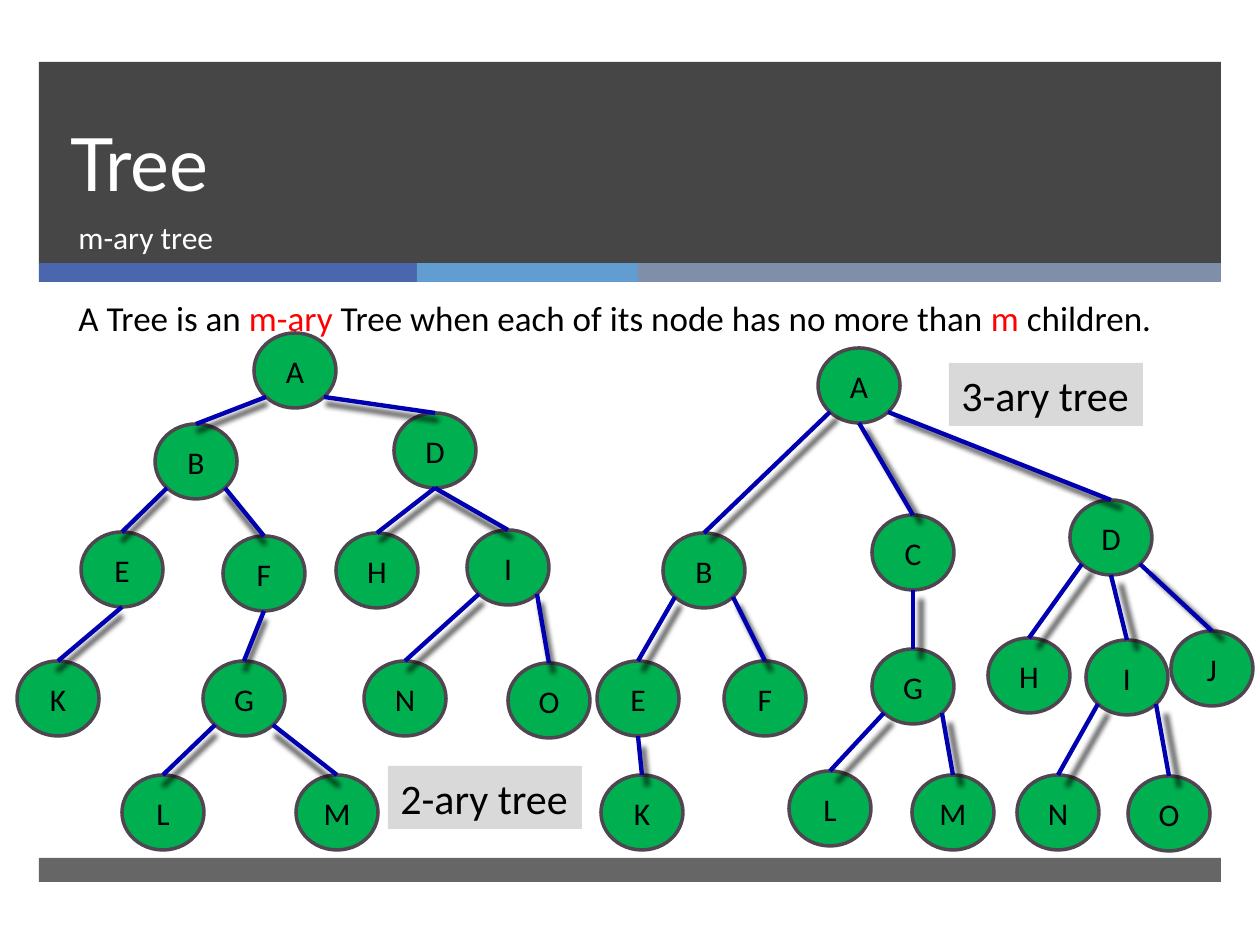
from lxml import etree
from pptx import Presentation
from pptx.dml.color import RGBColor
from pptx.enum.shapes import MSO_CONNECTOR, MSO_SHAPE
from pptx.enum.text import MSO_ANCHOR, PP_ALIGN
from pptx.oxml.ns import qn
from pptx.util import Emu, Pt

PX = 914400 // 126
RECT, OVAL, LINE = MSO_SHAPE.RECTANGLE, MSO_SHAPE.OVAL, MSO_CONNECTOR.STRAIGHT
TOP, MIDDLE, BOTTOM = MSO_ANCHOR.TOP, MSO_ANCHOR.MIDDLE, MSO_ANCHOR.BOTTOM
LEFT, CENTER = PP_ALIGN.LEFT, PP_ALIGN.CENTER
NODE_W, NODE_H = 82, 75
DIAGONAL = 0.5 ** 0.5

prs = Presentation()
prs.slide_width, prs.slide_height = Emu(1260 * PX), Emu(945 * PX)
slide = prs.slides.add_slide(prs.slide_layouts[6])
shapes = slide.shapes


def add_block(kind, box, fill, opacity=100):
    block = shapes.add_shape(kind, *[Emu(v * PX) for v in box])
    block.shadow.inherit = False
    block.fill.solid()
    block.fill.fore_color.rgb = RGBColor.from_string(fill)
    block.line.fill.background()
    if opacity < 100:
        color = block.fill._xPr.find(".//" + qn("a:srgbClr"))
        etree.SubElement(color, qn("a:alpha"), val=str(opacity * 1000))
    return block


def write(shape, runs, size, font="Calibri", anchor=TOP, align=LEFT):
    frame = shape.text_frame
    frame.word_wrap = True
    frame.vertical_anchor = anchor
    paragraph = frame.paragraphs[0]
    paragraph.alignment = align
    paragraph.font.size, paragraph.font.name = Pt(size), font
    for text, color in runs:
        run = paragraph.add_run()
        run.text = text
        run.font.color.rgb = RGBColor.from_string(color)
    return paragraph


# Header, accent stripe and footer bars
add_block(RECT, (39, 62, 1182, 202), "262626", 85)
for left, width, color in [(39, 378, "4A66AC"), (417, 221, "629DD1"), (638, 583, "7F8FA9")]:
    add_block(RECT, (left, 263, width, 19), color)
add_block(RECT, (39, 858, 1182, 24), "262626", 70)

# Title, subtitle and definition
BLACK, RED, WHITE = "000000", "FF0000", "FFFFFF"
definition = [("A Tree is an ", BLACK), ("m-ary", RED),
              (" Tree when each of its node has no more than ", BLACK),
              ("m", RED), (" children.", BLACK)]
for box, runs, size, font, anchor, spacing in [
    ((58, 62, 1076, 150), [("Tree", WHITE)], 42, "Lato", BOTTOM, Pt(46)),
    ((66, 212, 1068, 67), [("m-ary tree", WHITE)], 18, "Calibri", TOP, None),
    ((66, 290, 1131, 55), definition, 20, "Calibri", TOP, None),
]:
    text_box = shapes.add_textbox(*[Emu(v * PX) for v in box])
    write(text_box, runs, size, font, anchor).line_spacing = spacing

# Node positions (left, top); branches are parent, side it leaves from, child
ternary_nodes = {
    "A": (818, 348), "B": (663, 533), "C": (872, 515), "D": (1070, 500),
    "E": (597, 661), "F": (724, 661), "J": (1171, 631), "I": (1086, 640),
    "H": (988, 638), "G": (872, 649), "K": (601, 775), "M": (912, 775),
    "L": (789, 771), "O": (1128, 776), "N": (1017, 775),
}
ternary_branches = [
    ("A", -1, "B"), ("A", 0, "C"), ("C", 0, "G"), ("A", 1, "D"), ("B", -1, "E"),
    ("B", 1, "F"), ("G", -1, "L"), ("G", 1, "M"), ("E", 0, "K"), ("D", -1, "H"),
    ("D", 0, "I"), ("D", 1, "J"), ("I", -1, "N"), ("I", 1, "O"),
]
binary_nodes = {
    "A": (254, 333), "B": (155, 424), "D": (394, 413), "E": (81, 532),
    "F": (223, 536), "I": (467, 530), "H": (336, 533), "G": (203, 661),
    "K": (17, 661), "M": (296, 775), "L": (122, 775), "O": (508, 663),
    "N": (364, 661),
}
binary_branches = [
    ("A", -1, "B"), ("F", 0, "G"), ("A", 1, "D"), ("B", -1, "E"), ("B", 1, "F"),
    ("G", -1, "L"), ("G", 1, "M"), ("E", 0, "K"), ("D", 0, "H"), ("D", 0, "I"),
    ("I", -1, "N"), ("I", 1, "O"),
]

for nodes, branches in [(ternary_nodes, ternary_branches), (binary_nodes, binary_branches)]:
    for letter, (left, top) in nodes.items():
        node = add_block(OVAL, (left, top, NODE_W, NODE_H), "00B050")
        node.line.color.rgb = RGBColor.from_string("504652")
        node.line.width = Pt(2)
        write(node, [(letter, BLACK)], 18, anchor=MIDDLE, align=CENTER)

    for parent, side, child in branches:
        # Side branches leave at 45 degrees, middle ones at the lowest point
        drop = DIAGONAL if side else 1
        start_x = nodes[parent][0] + NODE_W / 2 * (1 + side * DIAGONAL)
        start_y = nodes[parent][1] + NODE_H / 2 * (1 + drop)
        end_x, end_y = nodes[child][0] + NODE_W / 2, nodes[child][1]
        branch = shapes.add_connector(
            LINE, *[Emu(round(v) * PX) for v in (start_x, start_y, end_x, end_y)])
        branch.line.color.rgb = RGBColor.from_string("0000B0")
        branch.line.width = Pt(2.5)
        effects = etree.SubElement(branch._element.spPr, qn("a:effectLst"))
        shadow = etree.SubElement(
            effects, qn("a:outerShdw"), blurRad="38100", dist="25400", dir="6600000",
            sx="101000", sy="101000", rotWithShape="0")
        shade = etree.SubElement(shadow, qn("a:srgbClr"), val=BLACK)
        etree.SubElement(shade, qn("a:alpha"), val="75000")

# Tree labels
for label, left, top in [("2-ary tree", 388, 766), ("3-ary tree", 949, 363)]:
    write(add_block(RECT, (left, top, 194, 63), "D9D9D9"), [(label, BLACK)], 24)

prs.save("out.pptx")
